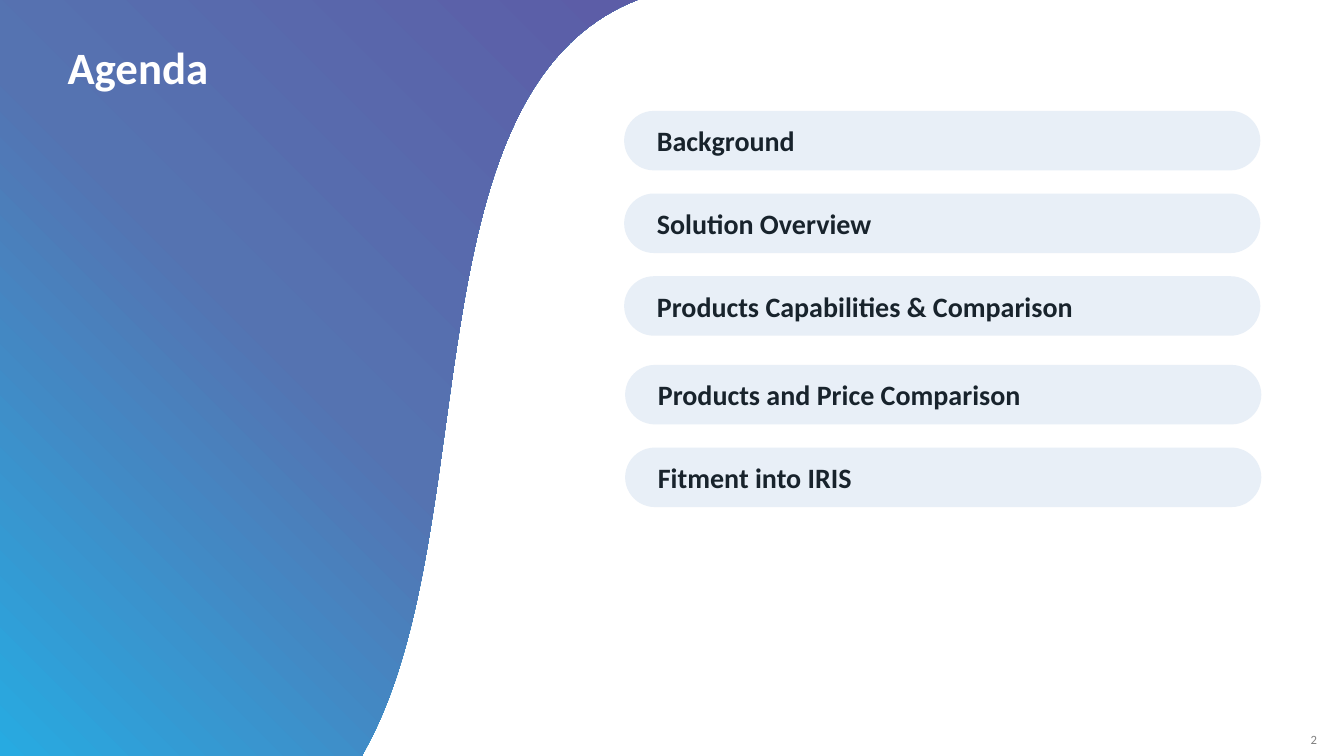
"""Build the agenda slide with its gradient wave and topic bars."""
from copy import deepcopy

from pptx import Presentation
from pptx.dml.color import RGBColor
from pptx.enum.shapes import MSO_SHAPE
from pptx.enum.text import MSO_ANCHOR, PP_ALIGN
from pptx.util import Inches, Pt

WHITE = RGBColor(0xFF, 0xFF, 0xFF)
GRAY = RGBColor(0x80, 0x80, 0x80)
INK = RGBColor(0x18, 0x23, 0x2C)
PALE = RGBColor(0xE8, 0xEF, 0xF7)
CYAN = RGBColor(0x27, 0xAA, 0xE1)
BLUE = RGBColor(0x55, 0x73, 0xB1)
PURPLE = RGBColor(0x5C, 0x5D, 0xA7)

FONT = "Calibri"
CURVE = [(6.32, 0), (4.02, 0.9), (4.83, 5.3), (3.61, 7.46)]
STEPS = 80
PITCH = 0.82
GROUPS = [
    (6.19, 1.1, ["Background", "Solution Overview",
                 "Products Capabilities & Comparison"]),
    (6.2, 3.62, ["Products and Price Comparison", "Fitment into IRIS"]),
]


def style(frame, size, color, bold=False, align=PP_ALIGN.LEFT):
    """Format the only paragraph of a text frame."""
    frame.word_wrap = True
    frame.vertical_anchor = MSO_ANCHOR.MIDDLE
    line = frame.paragraphs[0]
    line.alignment = align
    font = line.runs[0].font
    font.name, font.size, font.bold = FONT, Pt(size), bold
    font.color.rgb = color


def bezier(t):
    """Return the point of the wave's edge at t."""
    weights = [(1 - t) ** 3, 3 * t * (1 - t) ** 2, 3 * t * t * (1 - t), t ** 3]
    return tuple(Inches(sum(w * p[axis] for w, p in zip(weights, CURVE)))
                 for axis in (0, 1))


def blend(fill, stops, angle):
    """Apply a linear gradient of three stops."""
    fill.gradient()
    fill.gradient_angle = angle
    first = fill.gradient_stops[0]
    first.color.rgb = stops[0][1]
    items = fill._fill._gradFill.gsLst
    items.insert(1, deepcopy(items[0]))
    for stop, (place, color) in zip(fill.gradient_stops, stops):
        stop.position = place
        stop.color.rgb = color


def add_wave(slide):
    """Draw the gradient wave behind everything else."""
    pen = slide.shapes.build_freeform(0, 0)
    edge = [bezier(i / STEPS) for i in range(STEPS + 1)]
    pen.add_line_segments(
        edge + [(Inches(3.59), Inches(7.5)), (0, Inches(7.5))], close=True)
    wave = pen.convert_to_shape()
    wave.shadow.inherit = False
    wave.line.fill.background()
    blend(wave.fill, [(0, CYAN), (0.5, BLUE), (0.99, PURPLE)], 45)
    slide.shapes._spTree.insert(2, wave._element)


def add_title(slide, text):
    """Place and format the slide title."""
    title = slide.shapes.title
    title.left, title.top = Inches(0.67), Inches(0.39)
    title.width, title.height = Inches(4.28), Inches(0.54)
    frame = title.text_frame
    frame.text = text
    frame.margin_left = frame.margin_right = 0
    frame.margin_top = frame.margin_bottom = 0
    style(frame, 32, WHITE, bold=True)


def add_bar(slide, left, top, text):
    """Add one rounded topic bar."""
    bar = slide.shapes.add_shape(
        MSO_SHAPE.ROUNDED_RECTANGLE,
        Inches(left), Inches(top), Inches(6.31), Inches(0.59))
    bar.adjustments[0] = 0.5
    bar.shadow.inherit = False
    bar.fill.solid()
    bar.fill.fore_color.rgb = PALE
    bar.line.fill.background()
    frame = bar.text_frame
    frame.text = text
    style(frame, 20, INK, bold=True)
    frame.paragraphs[0]._p.get_or_add_pPr().set("marL", str(Inches(0.14)))


def add_number(slide, text):
    """Add the slide number in the corner."""
    box = slide.shapes.add_textbox(
        Inches(12.77), Inches(7.25), Inches(0.52), Inches(0.17))
    box.text_frame.text = text
    style(box.text_frame, 9, GRAY, align=PP_ALIGN.CENTER)


def main():
    """Create and save the deck."""
    deck = Presentation()
    deck.slide_width, deck.slide_height = Inches(13.33), Inches(7.5)
    slide = deck.slides.add_slide(deck.slide_layouts[5])
    add_wave(slide)
    add_title(slide, "Agenda")
    for left, top, topics in GROUPS:
        for row, topic in enumerate(topics):
            add_bar(slide, left, top + row * PITCH, topic)
    add_number(slide, "2")
    deck.save("out.pptx")


if __name__ == "__main__":
    main()
